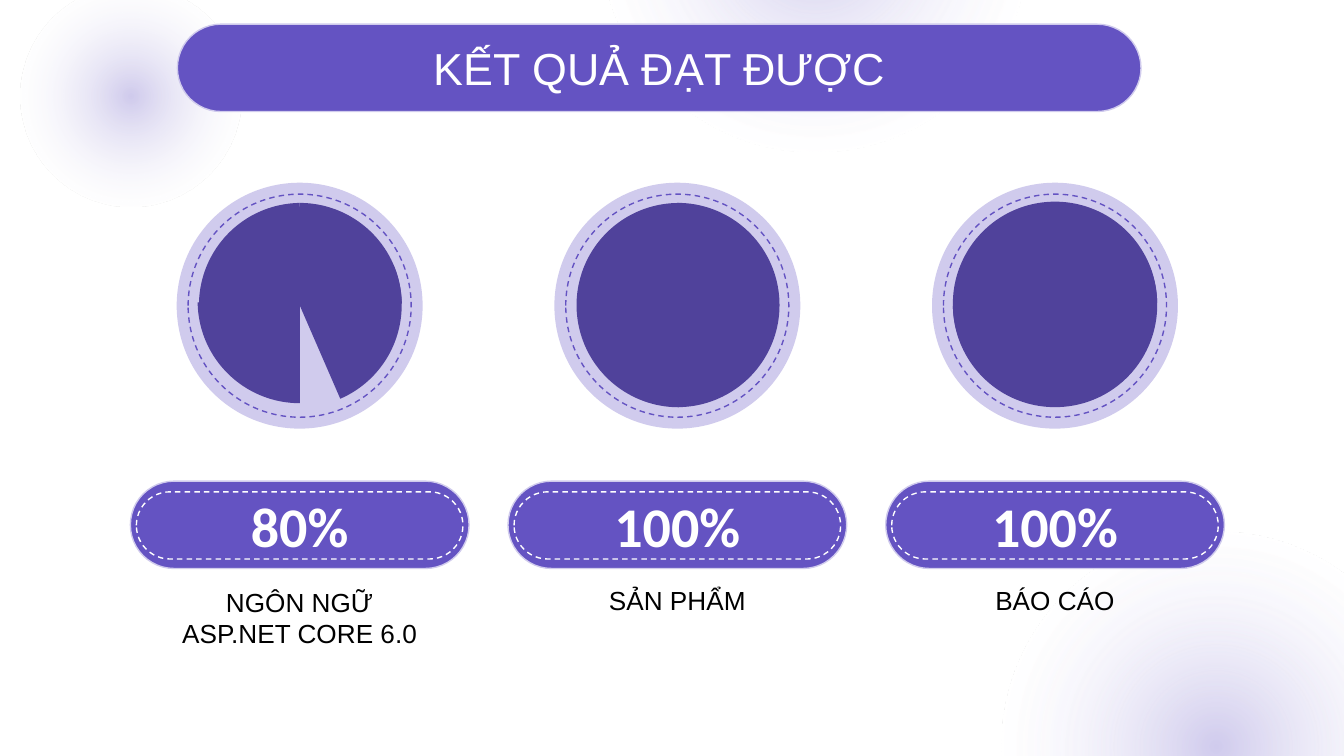
from pptx import Presentation
from pptx.dml.color import RGBColor
from pptx.enum.dml import MSO_LINE
from pptx.enum.shapes import MSO_SHAPE
from pptx.enum.text import MSO_ANCHOR, MSO_AUTO_SIZE, PP_ALIGN
from pptx.oxml import parse_xml
from pptx.oxml.ns import nsdecls, qn
from pptx.util import Inches, Pt

OVAL, PILL, PIE = MSO_SHAPE.OVAL, MSO_SHAPE.ROUNDED_RECTANGLE, MSO_SHAPE.PIE
MID, TOP = MSO_ANCHOR.MIDDLE, MSO_ANCHOR.TOP
FIT, CENTER, DASH = MSO_AUTO_SIZE.NONE, PP_ALIGN.CENTER, MSO_LINE.DASH
CELL = 0.1
MAIN, DARK, PALE, WHITE, BLACK = "6453C2", "50429B", "D0CBED", "FFFFFF", "000000"
GLOW = f"""<a:gradFill {nsdecls('a')} rotWithShape="1"><a:gsLst>
<a:gs pos="0"><a:srgbClr val="{PALE}"/></a:gs>
<a:gs pos="72000"><a:srgbClr val="{WHITE}"><a:alpha val="27000"/></a:srgbClr></a:gs>
<a:gs pos="100000"><a:srgbClr val="{WHITE}"/></a:gs></a:gsLst>
<a:path path="circle"><a:fillToRect l="50000" t="50000" r="50000" b="50000"/></a:path>
</a:gradFill>"""


def color(code):
    return RGBColor.from_string(code)


def write(shape, text, size=14, font="Arial", ink=BLACK, bold=False, anchor=TOP):
    frame = shape.text_frame
    frame.text = text
    frame.word_wrap, frame.auto_size, frame.vertical_anchor = True, FIT, anchor
    frame.margin_left = frame.margin_right = Inches(0.1)
    frame.margin_top = frame.margin_bottom = Inches(0.1)
    para = frame.paragraphs[0]
    para.alignment, para.space_before = CENTER, Pt(0)
    face = para.runs[0].font
    face.name, face.size, face.bold = font, Pt(size), bold
    face.color.rgb = color(ink)


class Deck:
    """Draws centred elements on a grid of tenth-inch columns and rows."""

    def __init__(self, cols, rows, layout):
        self.file = Presentation()
        self.file.slide_width = Inches(cols * CELL)
        self.file.slide_height = Inches(rows * CELL)
        self.slide = self.file.slides.add_slide(self.file.slide_layouts[layout])
        self.slots = list(self.slide.placeholders)

    def box(self, x, y, w, h):
        return [Inches(n * CELL) for n in (x - w / 2, y - h / 2, w, h)]

    def shape(self, kind, x, y, w, h, fill=None, line=None, dash=False):
        item = self.slide.shapes.add_shape(kind, *self.box(x, y, w, h))
        item.shadow.inherit = False
        if fill:
            item.fill.solid()
            item.fill.fore_color.rgb = color(fill)
        else:
            item.fill.background()
        if line:
            item.line.color.rgb = color(line)
            item.line.width = Pt(0.75)
            if dash:
                item.line.dash_style = DASH
        else:
            item.line.fill.background()
        return item

    def pill(self, x, y, w, h, **style):
        self.shape(PILL, x, y, w, h, **style).adjustments[0] = 0.5

    def glow(self, x, y, size):
        props = self.shape(OVAL, x, y, size, size)._element.spPr
        props.replace(props.find(qn("a:noFill")), parse_xml(GLOW))

    def wedge(self, x, y, size, start, turn):
        item = self.shape(PIE, x, y, size, size, fill=DARK)
        item.adjustments[0], item.adjustments[1] = start, 162
        item.rotation = turn
        item._element.spPr.xfrm.set("flipH", "1")

    def label(self, x, y, w, h, text, **style):
        item = self.slide.shapes.add_textbox(*self.box(x, y, w, h))
        write(item, text, **style)

    def slot(self, x, y, w, h, text, **style):
        item = self.slots.pop(0)
        item.left, item.top, item.width, item.height = self.box(x, y, w, h)
        write(item, text, **style)
        props = item.text_frame.paragraphs[0]._p.get_or_add_pPr()
        props.set("marL", "0")
        props.set("indent", "0")
        props.append(parse_xml(f"<a:buNone {nsdecls('a')}/>"))
        self.slide.shapes._spTree.append(item._element)

    def save(self):
        for item in self.slots:
            item._element.getparent().remove(item._element)
        self.file.save("out.pptx")


def main():
    deck = Deck(100, 56.25, layout=4)
    for x, y, size in ((90.45, 55.55, 31.9), (9.75, 7.15, 16.5), (60.65, -4.65, 31.9)):
        deck.glow(x, y, size)

    head = (49.05, 5.05, 71.7, 6.5)
    deck.pill(*head, fill=MAIN, line=PALE)
    deck.slot(*head, "KẾT QUẢ ĐẠT ĐƯỢC", size=24, ink=WHITE, anchor=MID)

    goals = (
        ("80%", "NGÔN NGỮ ASP.NET CORE 6.0", 46.25, 108.47,
         ((0, 0, 0), (0, -0.3, 180), (0, 0, 67.3), (0.1, 0, 270))),
        ("100%", "SẢN PHẨM", 46.15, 54.01, ((0, 0, 0), (0.1, 0, 180))),
        ("100%", "BÁO CÁO", 46.15, 0.34, ((0, 0, 0), (0, -0.1, 180))),
    )
    for i, (rate, name, row, start, parts) in enumerate(goals):
        x = 22.3 + 28.1 * i
        deck.shape(OVAL, x, 22.75, 18.3, 18.3, fill=PALE)
        for dx, dy, turn in parts:
            deck.wedge(x + dx, 22.7 + dy, 15.2, start, turn)
        deck.shape(OVAL, x, 22.75, 16.6, 16.6, line=MAIN, dash=True)
        deck.pill(x, 39.05, 25.2, 6.5, fill=MAIN, line=PALE)
        deck.pill(x, 39.1, 24.3, 5, line=WHITE, dash=True)
        deck.label(x, 39.05, 20.7, 5.1, rate, size=30, font="Calibri",
                   ink=WHITE, bold=True, anchor=MID)
        deck.slot(x, row, 20.7, 7.3, name)
    deck.save()


if __name__ == "__main__":
    main()
